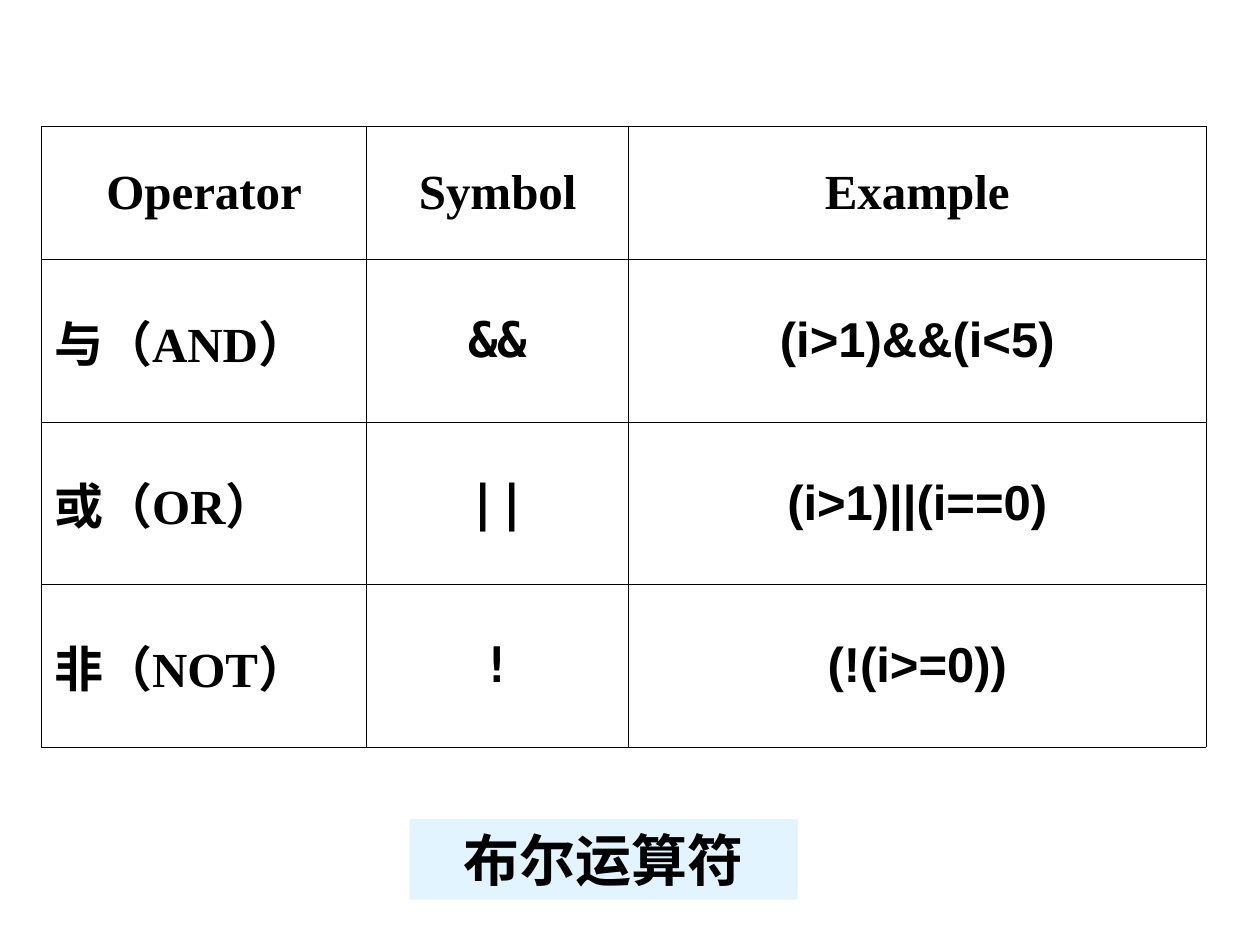
"""Build a slide with a table of Boolean operators and its title."""
import pptx
import pptx.dml.color
import pptx.enum.text
import pptx.oxml
import pptx.oxml.ns
import pptx.util

Inches = pptx.util.Inches
Pt = pptx.util.Pt
ALIGN = pptx.enum.text.PP_ALIGN
MIDDLE = pptx.enum.text.MSO_ANCHOR.MIDDLE

BLACK = "000000"
PALE_BLUE = "E1F4FF"
SERIF = "Times New Roman"
HEADERS = ["Operator", "Symbol", "Example"]
OPERATORS = [
    ["与（AND）", "&&", "(i>1)&&(i<5)"],
    ["或（OR）", "||", "(i>1)||(i==0)"],
    ["非（NOT）", "!", "(!(i>=0))"],
]
COLUMN_FONTS = [SERIF, "DejaVu Sans Mono", "Arial"]
COLUMN_ALIGNMENTS = [ALIGN.LEFT, ALIGN.CENTER, ALIGN.CENTER]
COLUMN_WIDTHS = [2.58, 2.08, 4.58]
ROW_HEIGHTS = [1.06, 1.29, 1.29, 1.29]


def color(hex_string):
    """Return the RGB colour for a hex string."""
    return pptx.dml.color.RGBColor.from_string(hex_string)


def write_text(text_frame, text, font_name, size, alignment):
    """Put one bold black paragraph in a text frame."""
    text_frame.text = text
    paragraph = text_frame.paragraphs[0]
    paragraph.alignment = alignment
    font = paragraph.runs[0].font
    font.name = font_name
    font.size = Pt(size)
    font.bold = True
    font.color.rgb = color(BLACK)


def add_borders(cell, hex_string, width):
    """Draw a thin solid line on all four sides of a cell."""
    properties = cell._tc.get_or_add_tcPr()
    for index, side in enumerate(["lnL", "lnR", "lnT", "lnB"]):
        line = pptx.oxml.parse_xml(
            f'<a:{side} {pptx.oxml.ns.nsdecls("a")} w="{Pt(width)}"><a:solidFill>'
            f'<a:srgbClr val="{hex_string}"/></a:solidFill></a:{side}>'
        )
        properties.insert(index, line)


def format_cell(cell, text, font_name, alignment):
    """Fill in one table cell and give it its borders."""
    write_text(cell.text_frame, text, font_name, 28, alignment)
    cell.vertical_anchor = MIDDLE
    cell.fill.background()
    add_borders(cell, BLACK, 0.34)


def add_operator_table(slide):
    """Add the table of operators, symbols and examples."""
    frame = slide.shapes.add_table(
        len(ROW_HEIGHTS), len(COLUMN_WIDTHS), Inches(0.33), Inches(1),
        Inches(sum(COLUMN_WIDTHS)), Inches(sum(ROW_HEIGHTS)),
    )
    table = frame.table
    table.first_row = False
    table.horz_banding = False
    for column, width in zip(table.columns, COLUMN_WIDTHS):
        column.width = Inches(width)
    for row, height in zip(table.rows, ROW_HEIGHTS):
        row.height = Inches(height)
    for column_index, header in enumerate(HEADERS):
        format_cell(table.cell(0, column_index), header, SERIF, ALIGN.CENTER)
    for row_index, texts in enumerate(OPERATORS, start=1):
        columns = zip(texts, COLUMN_FONTS, COLUMN_ALIGNMENTS)
        for column_index, (text, font_name, alignment) in enumerate(columns):
            format_cell(table.cell(row_index, column_index), text, font_name, alignment)


def format_title(slide, text):
    """Move the title placeholder below the table and format it."""
    title = slide.shapes.title
    title.left, title.top = Inches(3.25), Inches(6.5)
    title.width, title.height = Inches(3.08), Inches(0.64)
    title.fill.solid()
    title.fill.fore_color.rgb = color(PALE_BLUE)
    text_frame = title.text_frame
    text_frame.word_wrap = True
    text_frame.auto_size = pptx.enum.text.MSO_AUTO_SIZE.NONE
    text_frame.vertical_anchor = MIDDLE
    write_text(text_frame, text, "Comic Neue", 32, ALIGN.CENTER)


def main():
    """Build and save the presentation."""
    presentation = pptx.Presentation()
    presentation.slide_width = Inches(10)
    presentation.slide_height = Inches(7.5)
    slide = presentation.slides.add_slide(presentation.slide_layouts[5])
    format_title(slide, "布尔运算符")
    add_operator_table(slide)
    presentation.save("out.pptx")


if __name__ == "__main__":
    main()
